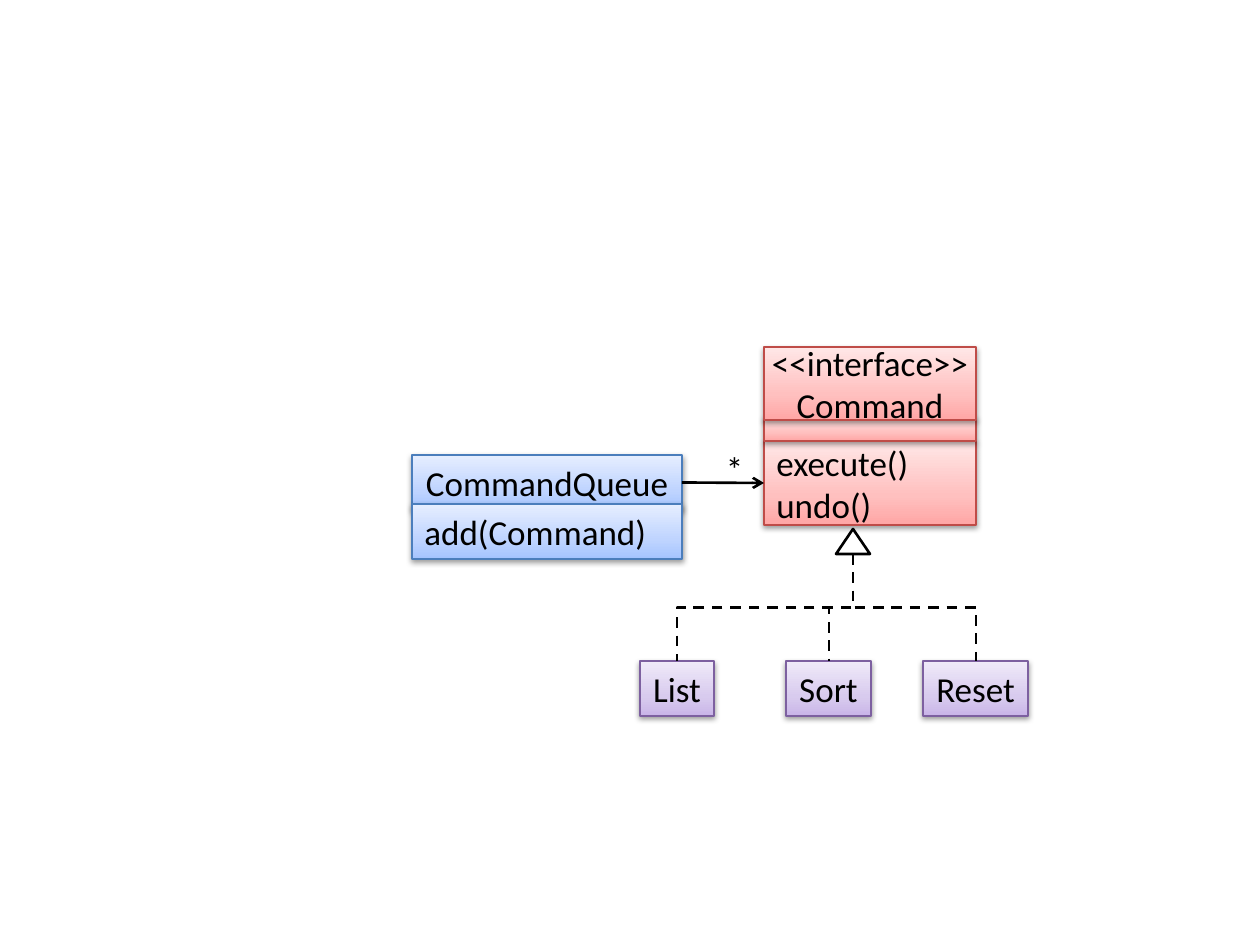
"""Class diagram of the command pattern: a queue, an interface and three commands."""
from copy import deepcopy

from lxml import etree
from pptx import Presentation
from pptx import util as u
from pptx.dml.color import RGBColor
from pptx.enum import dml, shapes, text
from pptx.oxml import parse_xml
from pptx.oxml.ns import qn

PX = 914400 / 126
BLACK = RGBColor(0, 0, 0)
RED = [RGBColor.from_string(c) for c in ("BF4C48", "FFA6A5", "FFC0BF", "FFE7E7")]
BLUE = [RGBColor.from_string(c) for c in ("4B7EBC", "A4C4FF", "BFD4FF", "E6EEFF")]
PURPLE = [RGBColor.from_string(c) for c in ("7D60A0", "C9B5E8", "D8CBEE", "F0EAF9")]
LEFT, CENTER = text.PP_ALIGN.LEFT, text.PP_ALIGN.CENTER
SHADOW = (
    '<a:effectLst xmlns:a="http://schemas.openxmlformats.org/drawingml/2006/main">'
    '<a:outerShdw blurRad="40000" dist="20000" dir="5400000" rotWithShape="0">'
    '<a:srgbClr val="000000"><a:alpha val="38000"/></a:srgbClr>'
    "</a:outerShdw></a:effectLst>"
)


def write(box, words, align):
    frame = box.text_frame
    frame.text = words
    frame.vertical_anchor = text.MSO_ANCHOR.MIDDLE
    for para in frame.paragraphs:
        para.alignment = align
        for span in para.runs:
            span.font.name = "Calibri"
            span.font.size = u.Pt(20)
            span.font.color.rgb = BLACK


def draw_line(kind, x1, y1, x2, y2):
    line = page.shapes.add_connector(kind, *(int(n * PX) for n in (x1, y1, x2, y2)))
    line.line.color.rgb = BLACK
    line.line.width = u.Pt(1.5)
    etree.SubElement(line._element.spPr, qn("a:effectLst"))
    return line


deck = Presentation()
deck.slide_width, deck.slide_height = u.Inches(10), u.Inches(7.5)
page = deck.slides.add_slide(deck.slide_layouts[6])

boxes = {}
for name, left, top, width, height, palette, words, align in (
    ("methods", 764, 441, 212, 84, RED, "execute()\nundo()", LEFT),
    ("list", 640, 661, 74, 55, PURPLE, "List", CENTER),
    ("sort", 786, 661, 85, 55, PURPLE, "Sort", CENTER),
    ("reset", 923, 661, 105, 55, PURPLE, "Reset", CENTER),
    ("queue", 412, 455, 270, 55, BLUE, "CommandQueue", CENTER),
    ("fields", 764, 417, 212, 24, RED, "", CENTER),
    ("interface", 764, 347, 212, 73, RED, "<<interface>>\vCommand", CENTER),
    ("add", 412, 504, 270, 55, BLUE, "add(Command)", LEFT),
):
    place = (int(n * PX) for n in (left, top, width, height))
    box = page.shapes.add_shape(shapes.MSO_SHAPE.RECTANGLE, *place)
    boxes[name] = box
    border, *shades = palette
    box.line.color.rgb = border
    box.line.width = u.Pt(0.75)
    box.fill.gradient()
    box.fill.gradient_angle = 90
    stop_list = box._element.spPr.find(".//" + qn("a:gsLst"))
    stop_list.insert(1, deepcopy(stop_list[0]))
    for stop, shade, position in zip(box.fill.gradient_stops, shades, (0, 0.35, 1)):
        stop.color.rgb = shade
        stop.position = position
    box._element.spPr.append(parse_xml(SHADOW))
    box.text_frame.word_wrap = False
    write(box, words, align)

triangle = page.shapes.add_shape(
    shapes.MSO_SHAPE.ISOSCELES_TRIANGLE, *(int(n * PX) for n in (836, 529, 34, 25))
)
triangle.shadow.inherit = False
triangle.fill.background()
triangle.line.color.rgb = BLACK
triangle.line.width = u.Pt(1.5)

root, base, drop = 853, 554, 107
for target in (677, 829, 976):
    spread = abs(target - root)
    middle_x, middle_y = (root + target) / 2, base + drop / 2
    half = drop / 2 if target < root else -drop / 2
    branch = draw_line(
        shapes.MSO_CONNECTOR.ELBOW,
        middle_x - half, middle_y - spread / 2, middle_x + half, middle_y + spread / 2,
    )
    branch.line.dash_style = dml.MSO_LINE.DASH
    turn = 90 if target < root else 270
    branch._element.spPr.find(qn("a:xfrm")).set("rot", str(turn * 60000))

arrow = draw_line(shapes.MSO_CONNECTOR.STRAIGHT, 682, 483, 764, 483)
arrow.begin_connect(boxes["queue"], 3)
arrow.end_connect(boxes["methods"], 1)
etree.SubElement(arrow.line._get_or_add_ln(), qn("a:tailEnd"), type="arrow")

star = page.shapes.add_textbox(*(int(n * PX) for n in (713, 441, 43, 54)))
star.text_frame.word_wrap = True
write(star, "*", CENTER)

deck.save("out.pptx")
